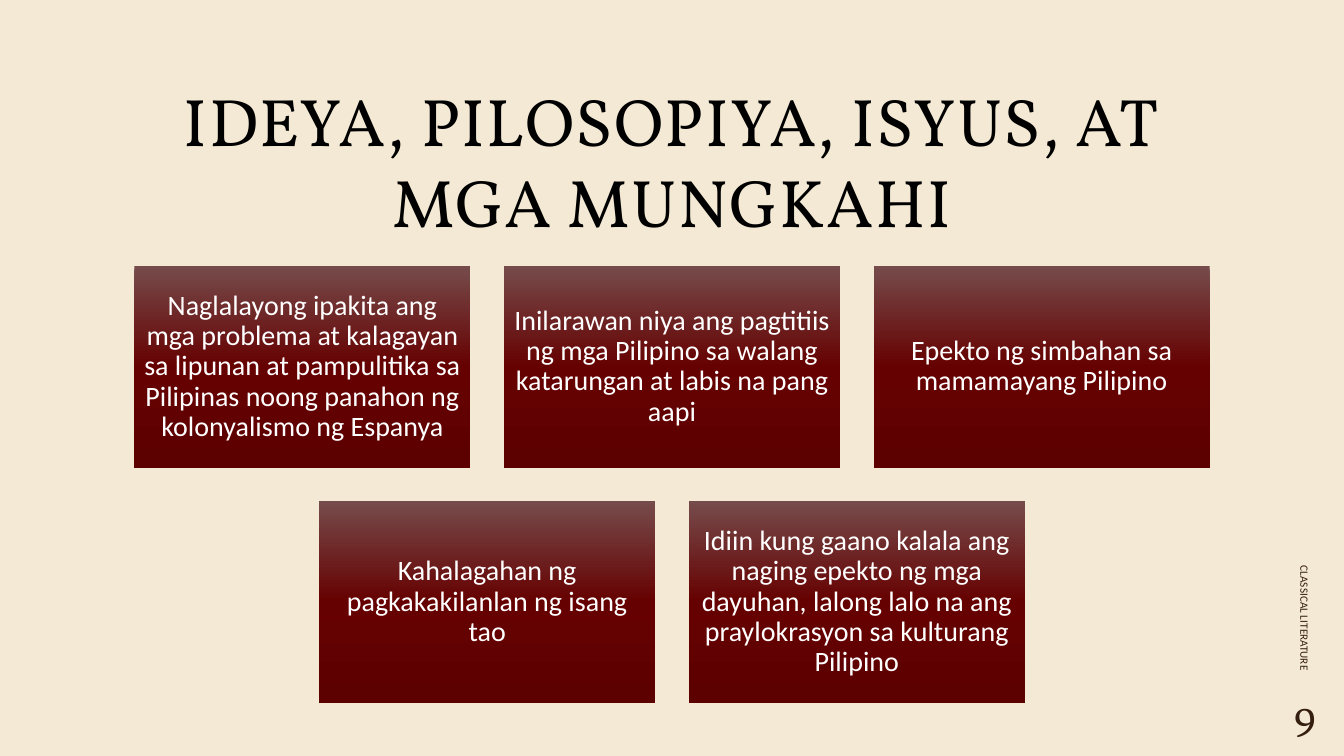
import copy
import pptx
import pptx.util
import pptx.dml.color
import pptx.enum.shapes
import pptx.enum.text

Pt = pptx.util.Pt
RGBColor = pptx.dml.color.RGBColor
Align = pptx.enum.text.PP_ALIGN

CREAM = RGBColor(0xF3, 0xE9, 0xD4)
BROWN = RGBColor(0x35, 0x1D, 0x10)
BLACK = RGBColor(0x00, 0x00, 0x00)
WHITE = RGBColor(0xFF, 0xFF, 0xFF)
SHADES = [
    (0, RGBColor(0x76, 0x4B, 0x4B)),
    (0.5, RGBColor(0x66, 0x01, 0x01)),
    (1, RGBColor(0x5C, 0x00, 0x00)),
]
ROWS = [
    [
        "Naglalayong ipakita ang mga problema at kalagayan sa lipunan at "
        "pampulitika sa Pilipinas noong panahon ng kolonyalismo ng Espanya",
        "Inilarawan niya ang pagtitiis ng mga Pilipino sa walang katarungan "
        "at labis na pang aapi",
        "Epekto ng simbahan sa mamamayang Pilipino",
    ],
    [
        "Kahalagahan ng pagkakakilanlan ng isang tao",
        "Idiin kung gaano kalala ang naging epekto ng mga dayuhan, lalong "
        "lalo na ang praylokrasyon sa kulturang Pilipino",
    ],
]


def write(shape, text, face, size, color, align=Align.CENTER, inset=0):
    """Put one styled paragraph in the middle of a shape."""
    frame = shape.text_frame
    frame.text = text
    frame.word_wrap = True
    frame.auto_size = pptx.enum.text.MSO_AUTO_SIZE.NONE
    frame.vertical_anchor = pptx.enum.text.MSO_ANCHOR.MIDDLE
    frame.margin_left = frame.margin_right = Pt(inset)
    frame.margin_top = frame.margin_bottom = Pt(inset)
    para = frame.paragraphs[0]
    para.alignment = align
    font = para.runs[0].font
    font.name, font.size, font.color.rgb = face, Pt(size), color
    return para


def shade(fill):
    """Fill a card with the dark red gradient, top to bottom."""
    fill.gradient()
    fill.gradient_angle = 270
    stops = fill._xPr.xpath("./a:gradFill/a:gsLst")[0]
    stops.append(copy.deepcopy(stops[0]))
    for stop, (place, color) in zip(fill.gradient_stops, SHADES):
        stop.color.rgb = color
        stop.position = place


def add_title(slide, left, top, width, height):
    """Place the heading in the title placeholder."""
    title = slide.shapes.title
    title.left, title.top = Pt(left), Pt(top)
    title.width, title.height = Pt(width), Pt(height)
    para = write(title, "IDEYA, PILOSOPIYA, ISYUS, AT MGA MUNGKAHI",
                 "Vollkorn", 48, BLACK, inset=5)
    para.runs[0].font._element.set("spc", "100")


def add_cards(slide, left, top, width, height, gap=24):
    """Lay out rows of equal cards, each row centred in the box."""
    wide = (width - 2 * gap) / 3
    high = (height - gap) / 2
    for row, texts in enumerate(ROWS):
        count = len(texts)
        start = left + (width - count * wide - (count - 1) * gap) / 2
        for col, text in enumerate(texts):
            card = slide.shapes.add_shape(
                pptx.enum.shapes.MSO_SHAPE.RECTANGLE,
                Pt(start + col * (wide + gap)), Pt(top + row * (high + gap)),
                Pt(wide), Pt(high))
            card.shadow.inherit = False
            card.line.fill.background()
            shade(card.fill)
            para = write(card, text, "Calibri", 20, WHITE, inset=6)
            para.line_spacing = 0.9


def add_margin(slide, left, top, width, height):
    """Set the sideways footer above the page number."""
    long, thin, page = 102, 17, 36
    mid = left + width / 2
    centre = top + long / 2
    foot = slide.shapes.add_textbox(
        Pt(mid - long / 2), Pt(centre - thin / 2), Pt(long), Pt(thin))
    foot.rotation = 90
    write(foot, "CLASSICAL LITERATURE", "Calibri", 8, BROWN,
          Align.RIGHT, inset=7)
    number = slide.shapes.add_textbox(
        Pt(left), Pt(top + height - page), Pt(width), Pt(page))
    write(number, "9", "Vollkorn", 30, BROWN)


def main():
    """Build and save the slide."""
    deck = pptx.Presentation()
    deck.slide_width, deck.slide_height = Pt(960), Pt(540)
    slide = deck.slides.add_slide(deck.slide_layouts[5])
    slide.background.fill.solid()
    slide.background.fill.fore_color.rgb = CREAM
    add_title(slide, 96, 50.4, 768, 128)
    add_cards(slide, 96, 190, 768, 312)
    add_margin(slide, 910.5, 384, 43, 144)
    deck.save("out.pptx")


if __name__ == "__main__":
    main()
